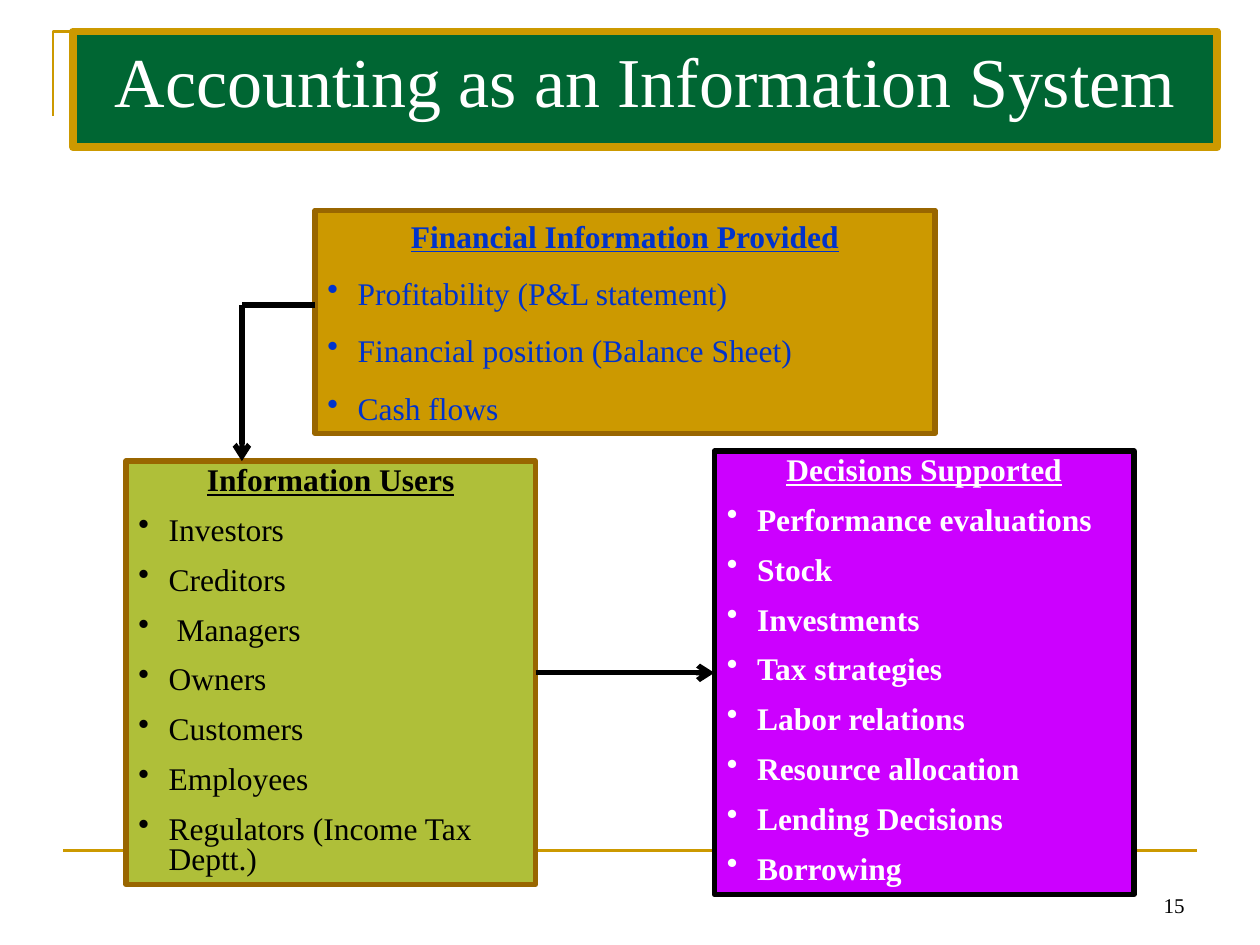
"""Build the slide on accounting as an information system."""
from pptx import Presentation
from pptx.dml.color import RGBColor
from pptx.enum.shapes import MSO_CONNECTOR, MSO_SHAPE
from pptx.enum.text import MSO_ANCHOR, PP_ALIGN
from pptx.oxml.ns import qn
from pptx.util import Inches, Pt
from lxml.etree import SubElement

COLORS = {
    "gold": "CC9900", "green": "006633", "brown": "996600", "olive": "AFBF39",
    "purple": "CC00FF", "blue": "0033CC", "black": "000000", "white": "FFFFFF",
}


def write_text(shape, lines, color, size=18, align=PP_ALIGN.CENTER, anchor=MSO_ANCHOR.TOP,
               heading=False, bold_items=False, spacing=None):
    frame = shape.text_frame
    frame.word_wrap = True
    frame.vertical_anchor = anchor
    for index, line in enumerate(lines):
        paragraph = frame.paragraphs[0] if index == 0 else frame.add_paragraph()
        paragraph.alignment = align if index == 0 else PP_ALIGN.LEFT
        if spacing:
            paragraph.line_spacing = spacing
        if index:
            paragraph.space_before = Pt(11.2)
            properties = paragraph._p.get_or_add_pPr()
            properties.set("marL", str(Inches(0.24)))
            properties.set("indent", str(Inches(-0.24)))
            SubElement(properties, qn("a:buChar")).set("char", "•")
        run = paragraph.add_run()
        run.text = line
        font = run.font
        font.name = "Times New Roman"
        font.size = Pt(size)
        font.color.rgb = RGBColor.from_string(COLORS[color])
        font.bold = heading if index == 0 else bold_items
        font.underline = heading and index == 0


def add_line(start, end, color="black", width=3, arrow=False):
    connector = slide.shapes.add_connector(
        MSO_CONNECTOR.STRAIGHT, *[Inches(value) for value in start + end])
    connector.line.color.rgb = RGBColor.from_string(COLORS[color])
    connector.line.width = Pt(width)
    if arrow:
        SubElement(connector.line._get_or_add_ln(), qn("a:tailEnd")).set("type", "arrow")
    SubElement(connector._element.spPr, qn("a:effectLst"))
    return connector


presentation = Presentation()
presentation.slide_width = Inches(10)
presentation.slide_height = Inches(7.5)
slide = presentation.slides.add_slide(presentation.slide_layouts[6])

builder = slide.shapes.build_freeform(Inches(0.42), Inches(0.92))
builder.add_line_segments(
    [(Inches(0.42), Inches(0.25)), (Inches(9.42), Inches(0.25))], close=False)
corner = builder.convert_to_shape()
corner.shadow.inherit = False
corner.fill.background()
corner.line.color.rgb = RGBColor.from_string(COLORS["gold"])
corner.line.width = Pt(1.5)

add_line((0.5, 6.75), (9.5, 6.75), color="gold", width=1.5)

boxes = [
    ((0.58, 0.25, 9.08, 0.92), "green", "gold", 4.5,
     ["Accounting as an Information System"],
     dict(color="white", size=40)),
    ((2.5, 1.67, 4.92, 1.77), "gold", "brown", 3,
     ["Financial Information Provided", "Profitability (P&L statement)",
      "Financial position (Balance Sheet)", "Cash flows"],
     dict(color="blue", heading=True)),
    ((1, 3.66, 3.25, 3.36), "olive", "brown", 3,
     ["Information Users", "Investors", "Creditors", " Managers", "Owners",
      "Customers", "Employees", "Regulators (Income Tax Deptt.)"],
     dict(color="black", heading=True, spacing=0.8)),
    ((5.67, 3.58, 3.33, 3.52), "purple", "black", 3,
     ["Decisions Supported", "Performance evaluations", "Stock", "Investments",
      "Tax strategies", "Labor relations", "Resource allocation",
      "Lending Decisions", "Borrowing"],
     dict(color="white", heading=True, bold_items=True, spacing=0.8)),
]
shapes = []
for position, fill, outline, width, lines, text_format in boxes:
    shape = slide.shapes.add_shape(
        MSO_SHAPE.RECTANGLE, *[Inches(value) for value in position])
    shape.shadow.inherit = False
    shape.fill.solid()
    shape.fill.fore_color.rgb = RGBColor.from_string(COLORS[fill])
    shape.line.color.rgb = RGBColor.from_string(COLORS[outline])
    shape.line.width = Pt(width)
    write_text(shape, lines, **text_format)
    shapes.append(shape)
title, information, users, decisions = shapes

add_line((2.5, 2.42), (1.92, 2.42))
add_line((1.92, 2.42), (1.92, 3.66), arrow=True)
users_to_decisions = add_line((4.25, 5.34), (5.67, 5.34), arrow=True)
users_to_decisions.begin_connect(users, 3)
users_to_decisions.end_connect(decisions, 1)

page_number = slide.shapes.add_textbox(Inches(7.17), Inches(6.83), Inches(2.33), Inches(0.5))
write_text(page_number, ["15"], "black", size=12, align=PP_ALIGN.RIGHT,
           anchor=MSO_ANCHOR.BOTTOM)

presentation.save("out.pptx")
